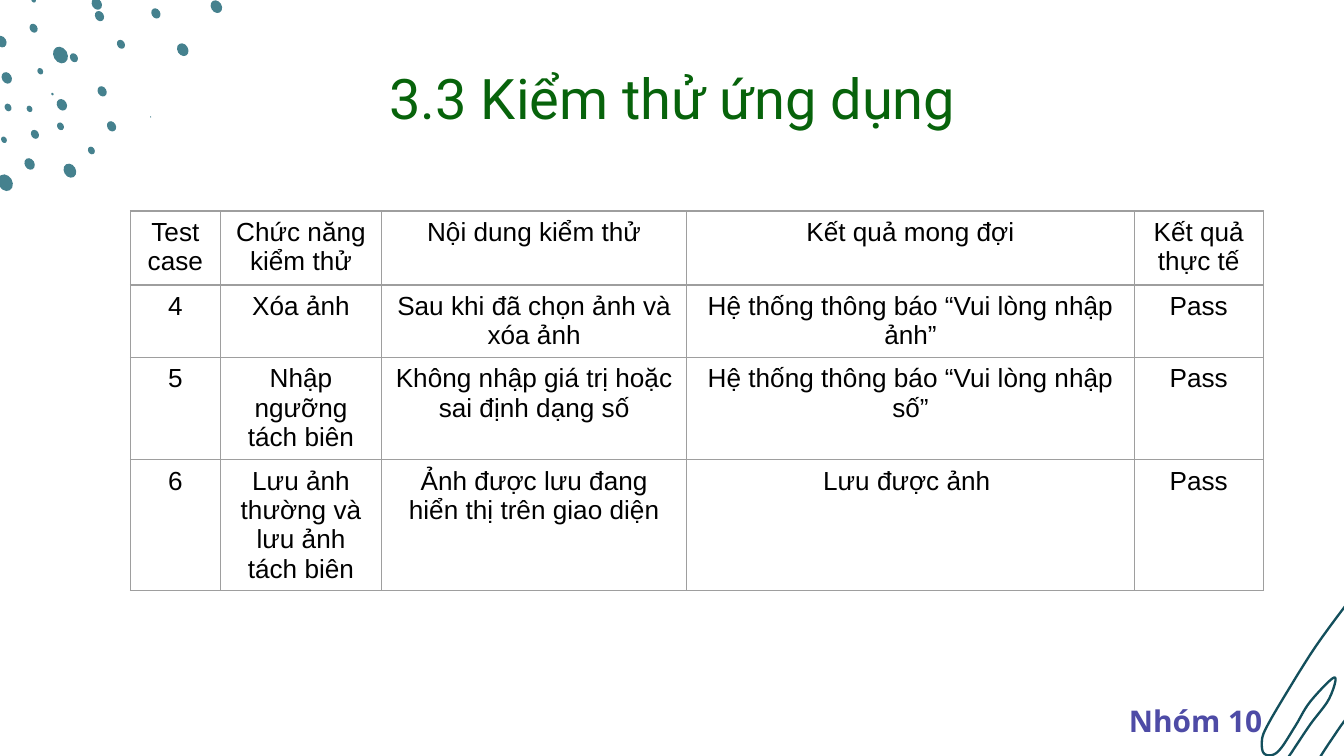
from lxml import etree
from pptx import Presentation
from pptx.dml.color import RGBColor
from pptx.enum.shapes import MSO_SHAPE
from pptx.enum.text import MSO_ANCHOR, MSO_AUTO_SIZE, PP_ALIGN
from pptx.oxml.ns import qn
from pptx.util import Inches, Pt

OVAL = MSO_SHAPE.OVAL
CENTER = PP_ALIGN.CENTER
TOP, MIDDLE = MSO_ANCHOR.TOP, MSO_ANCHOR.MIDDLE
NO_AUTOFIT = MSO_AUTO_SIZE.NONE

WHITE = RGBColor(0xFF, 0xFF, 0xFF)
BLACK = RGBColor(0x00, 0x00, 0x00)
GREEN = RGBColor(0x07, 0x63, 0x0B)
INDIGO = RGBColor(0x4E, 0x4B, 0xA6)
TEAL = RGBColor(0x45, 0x81, 0x8E)
DARK_TEAL = RGBColor(0x13, 0x4F, 0x5C)
BORDER_HEX = "9E9E9E"

SLIDE_WIDTH = Inches(10)
SLIDE_HEIGHT = SLIDE_WIDTH * 9 // 16
TABLE_LEFT, TABLE_TOP = 0.97, 1.57
COLUMN_WIDTHS = (0.67, 1.2, 2.27, 3.33, 0.96)
ROW_HEIGHTS = (0.55, 0.54, 0.76, 0.97)
TEST_CASES = (
    ("Test case", "Chức năng kiểm thử", "Nội dung kiểm thử",
     "Kết quả mong đợi", "Kết quả thực tế"),
    ("4", "Xóa ảnh", "Sau khi đã chọn ảnh và xóa ảnh",
     "Hệ thống thông báo “Vui lòng nhập ảnh”", "Pass"),
    ("5", "Nhập ngưỡng tách biên", "Không nhập giá trị hoặc sai định dạng số",
     "Hệ thống thông báo “Vui lòng nhập số”", "Pass"),
    ("6", "Lưu ảnh thường và lưu ảnh tách biên",
     "Ảnh được lưu đang hiển thị trên giao diện", "Lưu được ảnh ", "Pass"),
)

# Centre x, centre y and length of each dot
DOTS = (
    (0.04, 1.36, 0.13), (0.45, 0.41, 0.13), (0.3, 0.53, 0.05),
    (0.39, 0.7, 0.02), (0.22, 0.81, 0.05), (0.03, 1.04, 0.05),
    (0.22, 1.22, 0.09), (0.26, 1, 0.07), (0.06, 0.8, 0.06),
    (0.45, 0.94, 0.06), (0.46, 0.78, 0.09), (0.76, 0.68, 0.08),
    (0.55, 0.43, 0.07), (0.9, 0.33, 0.07), (0.74, 0.12, 0.08),
    (0.72, 0.03, 0.09), (1.16, 0.1, 0.08), (1.12, 0.87, 0.01),
    (0.83, 0.94, 0.08), (0.68, 1.12, 0.06), (0.52, 1.27, 0.11),
    (0.05, 0.58, 0.09), (0.01, 0.31, 0.09), (0.25, 0.21, 0.07),
    (0.25, 0, 0.04), (1.36, 0.37, 0.1), (1.61, 0.05, 0.1),
)
DOT_ROUNDNESS = 0.8
DOT_ANGLE = 59.3

SCRIBBLE = (
    (10.07, 4.43), (9.79, 4.81), (9.54, 5.21), (9.42, 5.42), (9.39, 5.51),
    (9.4, 5.6), (9.46, 5.62), (9.53, 5.57), (9.64, 5.4), (9.75, 5.22),
    (9.93, 5.04), (9.89, 5.2), (9.75, 5.39), (9.61, 5.6), (9.49, 5.78),
    (9.49, 5.92), (9.57, 5.94), (9.65, 5.9), (9.78, 5.7), (9.91, 5.5),
    (10.05, 5.31), (10.24, 5.15), (10.13, 5.48), (10.01, 5.63), (9.86, 5.82),
    (9.72, 6.04), (9.7, 6.16), (9.75, 6.17), (9.84, 6.11), (9.92, 6.03),
    (10.05, 5.82), (10.34, 5.41), (10.46, 5.37), (10.41, 5.57), (10.14, 5.93),
    (9.99, 6.11), (9.89, 6.28), (9.9, 6.33), (10.01, 6.37), (10.1, 6.3),
    (10.18, 6.2), (10.48, 5.76), (10.55, 5.66),
)


def smooth_curve(points, steps=6):
    """Return points along a Catmull-Rom spline through the given points."""
    padded = (points[0], *points, points[-1])
    curve = [points[0]]
    for before, start, end, after in zip(padded, padded[1:], padded[2:], padded[3:]):
        for step in range(1, steps + 1):
            t = step / steps
            curve.append(tuple(
                b + 0.5 * t * (c - a + t * (2 * a - 5 * b + 4 * c - d
                                            + t * (3 * (b - c) + d - a)))
                for a, b, c, d in zip(before, start, end, after)))
    return curve


def add_dot(slide, center_x, center_y, length):
    breadth = length * DOT_ROUNDNESS
    dot = slide.shapes.add_shape(
        OVAL, Inches(center_x - length / 2), Inches(center_y - breadth / 2),
        Inches(length), Inches(breadth))
    dot.rotation = DOT_ANGLE
    dot.shadow.inherit = False
    dot.fill.solid()
    dot.fill.fore_color.rgb = TEAL
    dot.line.fill.background()


def add_scribble(slide):
    start, *rest = [(Inches(x), Inches(y)) for x, y in smooth_curve(SCRIBBLE)]
    builder = slide.shapes.build_freeform(*start)
    builder.add_line_segments(rest, close=False)
    scribble = builder.convert_to_shape()
    scribble.shadow.inherit = False
    scribble.fill.background()
    scribble.line.color.rgb = DARK_TEAL
    scribble.line.width = Pt(1.25)


def fill_placeholder(placeholder, text, box, anchor, size, font_name, color, bold):
    placeholder.left, placeholder.top, placeholder.width, placeholder.height = (
        Inches(length) for length in box)
    frame = placeholder.text_frame
    frame.text = text
    frame.word_wrap = True
    frame.auto_size = NO_AUTOFIT
    frame.vertical_anchor = anchor
    frame.margin_left = frame.margin_right = Inches(0.1)
    frame.margin_top = frame.margin_bottom = Inches(0.1)
    paragraph = frame.paragraphs[0]
    paragraph.alignment = CENTER
    paragraph.space_before = Pt(0)
    paragraph.font.size = Pt(size)
    paragraph.font.name = font_name
    paragraph.font.bold = bold
    paragraph.font.color.rgb = color


def set_borders(cell):
    properties = cell._tc.get_or_add_tcPr()
    for index, side in enumerate(("a:lnL", "a:lnR", "a:lnT", "a:lnB")):
        line = etree.Element(qn(side), w=str(Pt(0.75)))
        fill = etree.SubElement(line, qn("a:solidFill"))
        etree.SubElement(fill, qn("a:srgbClr"), val=BORDER_HEX)
        properties.insert(index, line)


def fill_cell(cell, text):
    cell.text = text
    cell.fill.background()
    set_borders(cell)
    paragraph = cell.text_frame.paragraphs[0]
    paragraph.alignment = CENTER
    paragraph.font.size = Pt(14)
    paragraph.font.name = "Arial"
    paragraph.font.color.rgb = BLACK


def add_test_table(slide):
    table = slide.shapes.add_table(
        len(ROW_HEIGHTS), len(COLUMN_WIDTHS), Inches(TABLE_LEFT), Inches(TABLE_TOP),
        Inches(sum(COLUMN_WIDTHS)), Inches(sum(ROW_HEIGHTS))).table
    table.first_row = table.horz_banding = False
    for column, width in zip(table.columns, COLUMN_WIDTHS):
        column.width = Inches(width)
    for row, height, texts in zip(table.rows, ROW_HEIGHTS, TEST_CASES):
        row.height = Inches(height)
        for cell, text in zip(row.cells, texts):
            fill_cell(cell, text)


def main():
    presentation = Presentation()
    presentation.slide_width = SLIDE_WIDTH
    presentation.slide_height = SLIDE_HEIGHT
    slide = presentation.slides.add_slide(presentation.slide_layouts[0])
    slide.background.fill.solid()
    slide.background.fill.fore_color.rgb = WHITE

    add_scribble(slide)
    for dot in DOTS:
        add_dot(slide, *dot)
    fill_placeholder(slide.shapes.title, "3.3 Kiểm thử ứng dụng",
                     (0.79, 0.37, 8.43, 0.63), TOP, 30, "Roboto", GREEN, False)
    fill_placeholder(slide.placeholders[1], "Nhóm 10",
                     (6.79, 4.89, 4.21, 0.94), MIDDLE, 16, "Open Sans", INDIGO, True)
    add_test_table(slide)
    presentation.save("out.pptx")


if __name__ == "__main__":
    main()
